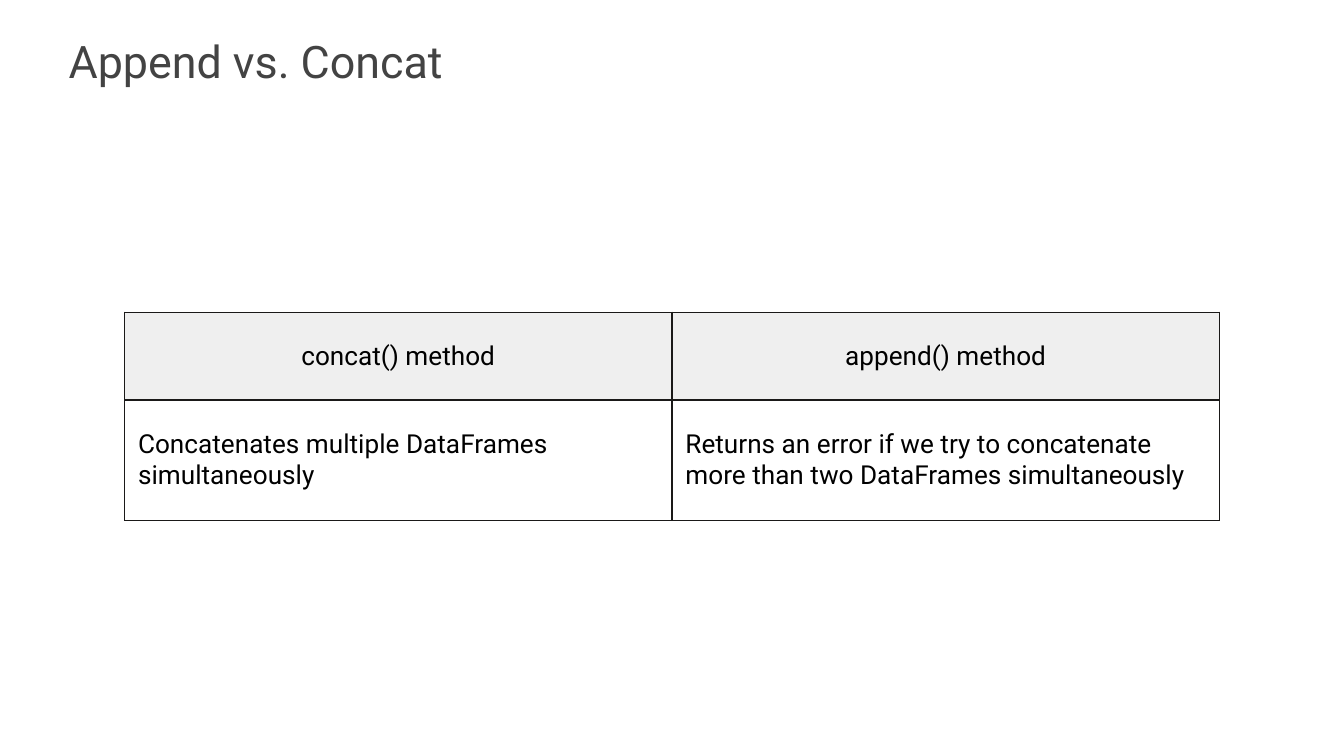
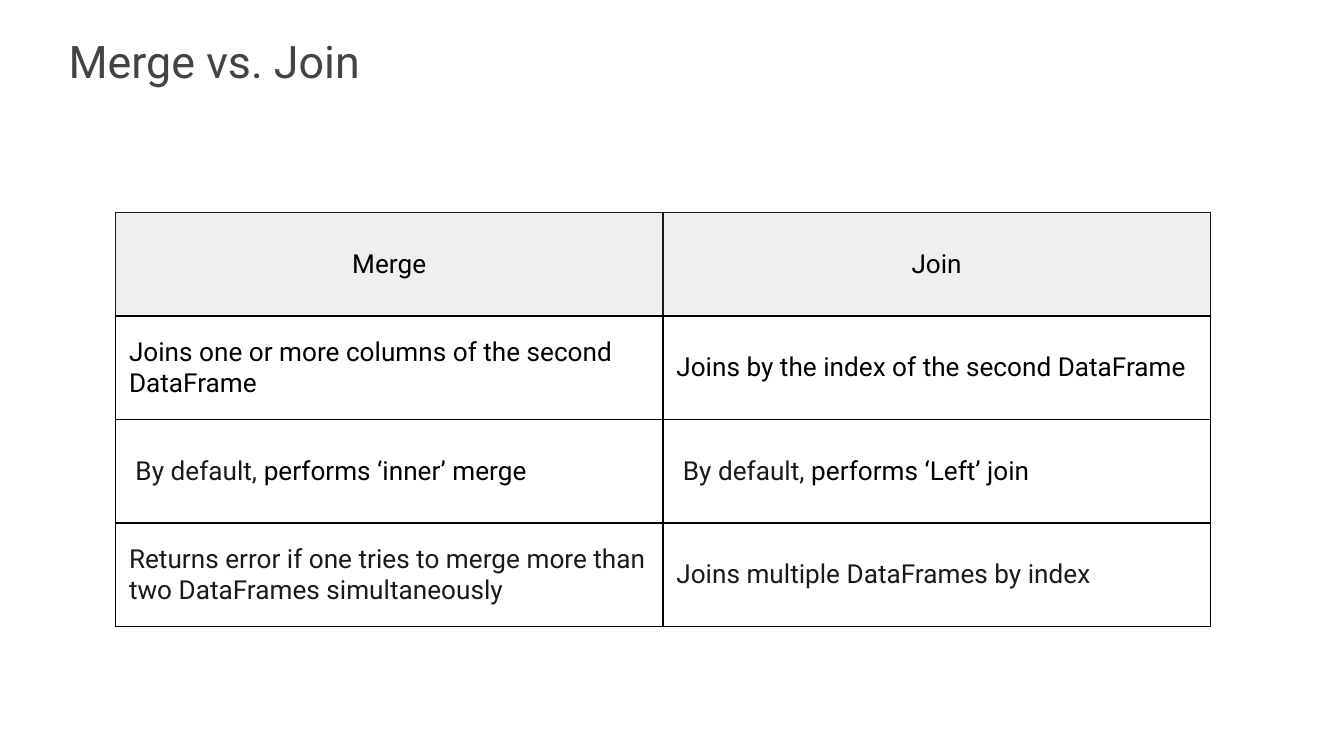
"""Build two slides that compare pairs of DataFrame methods."""
from dataclasses import dataclass
from typing import NamedTuple

import lxml.etree
import pptx
import pptx.dml.color
import pptx.enum.text
import pptx.oxml.ns
import pptx.util


@dataclass(frozen=True)
class Theme:
    """Colours, type sizes and measures shared by the slides."""

    font: str = "Roboto"
    title: str = "434343"
    ink: str = "1A1918"
    black: str = "000000"
    head: str = "EFEFEF"
    page: str = "FFFFFF"
    big: float = 24
    text: float = 14
    line: float = 0.75
    pad: float = 0.1
    wide: float = 10
    high: float = 10 * 9 / 16


class Run(NamedTuple):
    """A piece of text in one colour."""

    text: str
    tint: str


class Box(NamedTuple):
    """A place in percent of the slide's width and height."""

    left: float
    top: float
    width: float
    height: float


Cell = tuple[Run, ...]


@dataclass(frozen=True)
class Page:
    """A title over a table, with row heights in percent of the slide."""

    title: str
    left: float
    top: float
    rows: tuple[float, ...]
    edge: str
    cells: tuple[tuple[Cell, ...], ...]


LOOK = Theme()
TITLE = Box(4.12, 2.67, 81.5, 10.31)
COLUMN = 40.73
SIDES = ("L", "R", "T", "B")


def dark(text: str) -> Cell:
    """Return a cell in black."""
    return (Run(text, LOOK.black),)


def soft(text: str) -> Cell:
    """Return a cell in the ink colour."""
    return (Run(text, LOOK.ink),)


def usual(text: str) -> Cell:
    """Return a cell that names a default behaviour."""
    return soft(" By default,") + dark(text)


PAGES = (
    Page("Append vs. Concat", 9.27, 41.3, (11.6, 16), LOOK.ink, (
        (dark("concat() method"), dark("append() method")),
        (dark("Concatenates multiple DataFrames simultaneously"),
         dark("Returns an error if we try to concatenate more than two "
              "DataFrames simultaneously")),
    )),
    Page("Merge vs. Join", 8.6, 28.1, (13.7,) * 4, LOOK.black, (
        (dark("Merge"), dark("Join")),
        (dark("Joins one or more columns of the second DataFrame"),
         dark("Joins by the index of the second DataFrame")),
        (usual(" performs ‘inner’ merge"), usual(" performs ‘Left’ join")),
        (soft("Returns error if one tries to merge more than two "
              "DataFrames simultaneously"),
         soft("Joins multiple DataFrames by index")),
    )),
)


def across(share: float) -> int:
    """Turn a percent of the slide's width into a length."""
    return pptx.util.Inches(LOOK.wide * share / 100)


def down(share: float) -> int:
    """Turn a percent of the slide's height into a length."""
    return pptx.util.Inches(LOOK.high * share / 100)


def hue(code: str) -> pptx.dml.color.RGBColor:
    """Return the colour for a hex code."""
    return pptx.dml.color.RGBColor.from_string(code)


def inset(item) -> None:
    """Give a text frame or a cell the shared margins."""
    pad = pptx.util.Inches(LOOK.pad)
    item.margin_left = item.margin_right = pad
    item.margin_top = item.margin_bottom = pad


def write(line, runs: Cell, size: float) -> None:
    """Write runs into a paragraph, with shared fonts set on it."""
    line.font.name = LOOK.font
    line.font.size = pptx.util.Pt(size)
    same = len({run.tint for run in runs}) == 1
    if same:
        line.font.color.rgb = hue(runs[0].tint)
    for run in runs:
        part = line.add_run()
        part.text = run.text
        if not same:
            part.font.color.rgb = hue(run.tint)


def rule(cell, side: str, tint: str, spot: int) -> None:
    """Draw one border of a cell."""
    name = pptx.oxml.ns.qn
    edge = lxml.etree.Element(
        name(f"a:ln{side}"), w=str(int(pptx.util.Pt(LOOK.line))))
    fill = lxml.etree.SubElement(edge, name("a:solidFill"))
    lxml.etree.SubElement(fill, name("a:srgbClr"), val=tint)
    cell._tc.get_or_add_tcPr().insert(spot, edge)


def head(slide, text: str) -> None:
    """Draw the slide's title."""
    box = slide.shapes.add_textbox(
        across(TITLE.left), down(TITLE.top),
        across(TITLE.width), down(TITLE.height))
    frame = box.text_frame
    frame.word_wrap = True
    inset(frame)
    write(frame.paragraphs[0], (Run(text, LOOK.title),), LOOK.big)


def style(cell, runs: Cell, first: bool, edge: str) -> None:
    """Fill a cell with its text, colour and borders."""
    inset(cell)
    cell.vertical_anchor = pptx.enum.text.MSO_ANCHOR.MIDDLE
    line = cell.text_frame.paragraphs[0]
    write(line, runs, LOOK.text)
    if first:
        line.alignment = pptx.enum.text.PP_ALIGN.CENTER
        cell.fill.solid()
        cell.fill.fore_color.rgb = hue(LOOK.head)
    else:
        cell.fill.background()
    for spot, side in enumerate(SIDES):
        rule(cell, side, LOOK.ink if first and side != "B" else edge, spot)


def grid(slide, page: Page) -> None:
    """Draw the table of a page."""
    count = len(page.cells[0])
    table = slide.shapes.add_table(
        len(page.rows), count, across(page.left), down(page.top),
        across(COLUMN * count), down(sum(page.rows))).table
    table.first_row = table.horz_banding = False
    for column in table.columns:
        column.width = across(COLUMN)
    for row, (share, cells) in enumerate(zip(page.rows, page.cells)):
        table.rows[row].height = down(share)
        for col, runs in enumerate(cells):
            style(table.cell(row, col), runs, row == 0, page.edge)


def main() -> None:
    """Build and save the slides."""
    deck = pptx.Presentation()
    deck.slide_width, deck.slide_height = across(100), down(100)
    for page in PAGES:
        slide = deck.slides.add_slide(deck.slide_layouts[6])
        slide.background.fill.solid()
        slide.background.fill.fore_color.rgb = hue(LOOK.page)
        head(slide, page.title)
        grid(slide, page)
    deck.save("out.pptx")


if __name__ == "__main__":
    main()
